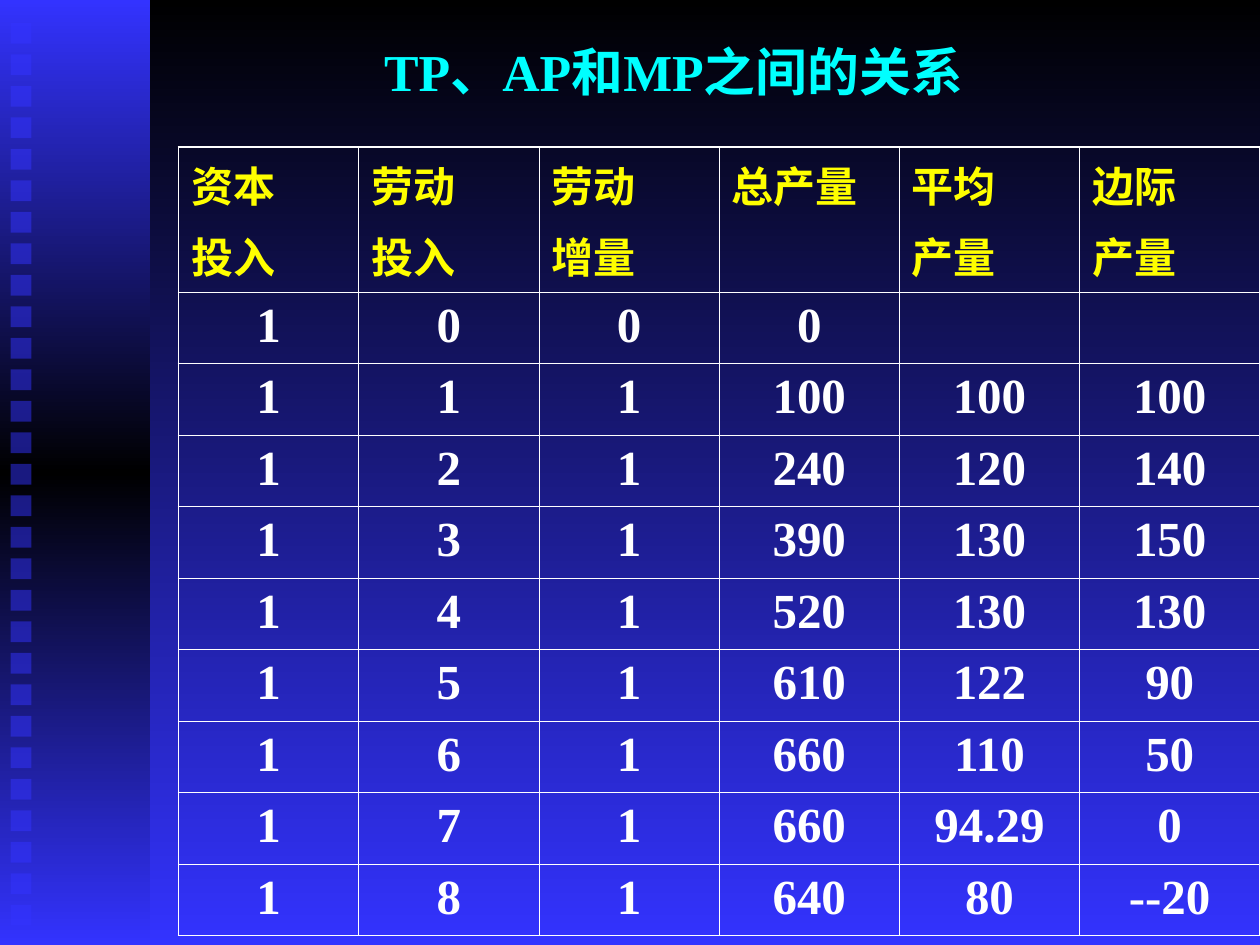
from copy import deepcopy

from lxml.etree import SubElement, Element
from pptx import Presentation
from pptx.dml.color import RGBColor as RGB
from pptx.enum.lang import MSO_LANGUAGE_ID as LANG
from pptx.enum.shapes import MSO_SHAPE as SHAPE
from pptx.enum.text import PP_ALIGN as ALIGN
from pptx.oxml.ns import qn
from pptx.util import Pt

TITLE = "TP、AP和MP之间的关系"
HEADER = ["资本\n投入", "劳动\n投入", "劳动\n增量", "总产量", "平均\n产量", "边际\n产量"]
ROWS = [
    ["1", "0", "0", "0", "", ""],
    ["1", "1", "1", "100", "100", "100"],
    ["1", "2", "1", "240", "120", "140"],
    ["1", "3", "1", "390", "130", "150"],
    ["1", "4", "1", "520", "130", "130"],
    ["1", "5", "1", "610", "122", "90"],
    ["1", "6", "1", "660", "110", "50"],
    ["1", "7", "1", "660", "94.29", "0"],
    ["1", "8", "1", "640", "80", "--20"],
]

THEME = {
    "font": "Times New Roman",
    "blue": "3333FF", "black": "000000", "white": "FFFFFF",
    "cyan": "00FFFF", "yellow": "FFFF00",
    "title": 29.6, "header": 24, "body": 28,
    "outer": 1.08, "inner": 0.45,
}
WIDTH, HEIGHT = 720, 540
SIDEBAR_W = 85.7
SQUARE_X, SQUARE_Y, SQUARE, PITCH, SQUARES = 6, 13, 12, 18, 29
TABLE_X, TABLE_Y, HEADER_H, ROW_H = 102, 84.2, 82.8, 40.8


def write(tf, text, size, color, align=ALIGN.LEFT, gap=0, spacing=None, hanging=0):
    """Fill a text frame with one paragraph per line of text."""
    for i, line in enumerate(text.split("\n")):
        p = tf.add_paragraph() if i else tf.paragraphs[0]
        p.alignment = align
        if i:
            p.space_before = Pt(gap)
        if spacing:
            p.line_spacing = spacing
        if hanging:
            pPr = p._p.get_or_add_pPr()
            pPr.set("marL", str(Pt(hanging)))
            pPr.set("indent", str(-Pt(hanging)))
        r = p.add_run()
        r.text = line
        r.font.name = THEME["font"]
        r.font.size = Pt(THEME[size])
        r.font.bold = True
        r.font.color.rgb = RGB.from_string(THEME[color])
        r.font.language_id = LANG.SIMPLIFIED_CHINESE


def shade(fill, element, colors):
    """Give a fill an even top-to-bottom gradient."""
    fill.gradient()
    fill.gradient_angle = 270
    stops = element.xpath(".//a:gsLst")[0]
    while len(stops) < len(colors):
        stops.append(deepcopy(stops[0]))
    for i, (stop, color) in enumerate(zip(fill.gradient_stops, colors)):
        stop.position = i / (len(colors) - 1)
        stop.color.rgb = RGB.from_string(THEME[color])


def add_rect(s, x, y, w, h):
    """Add a plain rectangle without line or shadow."""
    sp = s.shapes.add_shape(SHAPE.RECTANGLE, Pt(x), Pt(y), Pt(w), Pt(h))
    sp.shadow.inherit = False
    sp.line.fill.background()
    return sp


def add_sidebar(s):
    """Draw the shaded strip and its column of translucent squares."""
    strip = add_rect(s, 0, 0, SIDEBAR_W, HEIGHT)
    shade(strip.fill, strip.element, ["blue", "black", "blue"])
    for i in range(SQUARES):
        sp = add_rect(s, SQUARE_X, SQUARE_Y + i * PITCH, SQUARE, SQUARE)
        sp.fill.solid()
        sp.fill.fore_color.rgb = RGB.from_string(THEME["blue"])
        color = sp.element.xpath("./p:spPr/a:solidFill/a:srgbClr")[0]
        SubElement(color, qn("a:alpha"), val="50000")


def set_borders(cell, outer_sides):
    """Draw all four cell borders, heavier on the outer sides."""
    tcPr = cell._tc.get_or_add_tcPr()
    for i, side in enumerate("LRTB"):
        width = THEME["outer" if side in outer_sides else "inner"]
        ln = Element(qn(f"a:ln{side}"), w=str(Pt(width)))
        SubElement(SubElement(ln, qn("a:solidFill")), qn("a:srgbClr"), val=THEME["white"])
        tcPr.insert(i, ln)


def add_output_table(s):
    """Add the table of inputs and outputs."""
    data = [HEADER] + ROWS
    n_rows, n_cols = len(data), len(HEADER)
    width, height = WIDTH - TABLE_X, HEADER_H + ROW_H * len(ROWS)
    table = s.shapes.add_table(
        n_rows, n_cols, Pt(TABLE_X), Pt(TABLE_Y), Pt(width), Pt(height)).table
    table.first_row = table.horz_banding = False
    for col in table.columns:
        col.width = Pt(width / n_cols)
    for i, values in enumerate(data):
        table.rows[i].height = Pt(ROW_H if i else HEADER_H)
        for j, text in enumerate(values):
            cell = table.cell(i, j)
            cell.fill.background()
            edges = {"L": j == 0, "R": j == n_cols - 1, "T": i == 0, "B": i == n_rows - 1}
            set_borders(cell, [side for side, outer in edges.items() if outer])
            if not text:
                continue
            if i:
                write(cell.text_frame, text, "body", "white", align=ALIGN.CENTER)
            else:
                write(cell.text_frame, text, "header", "yellow", gap=6)


def main():
    """Build and save the slide."""
    prs = Presentation()
    prs.slide_width, prs.slide_height = Pt(WIDTH), Pt(HEIGHT)
    s = prs.slides.add_slide(prs.slide_layouts[6])
    shade(s.background.fill, s.element, ["black", "blue"])
    add_sidebar(s)
    title = s.shapes.add_textbox(Pt(212.4), Pt(26), Pt(401.8), Pt(41.8))
    title.text_frame.word_wrap = True
    write(title.text_frame, TITLE, "title", "cyan", spacing=0.8, hanging=27)
    add_output_table(s)
    prs.save("out.pptx")


if __name__ == "__main__":
    main()
